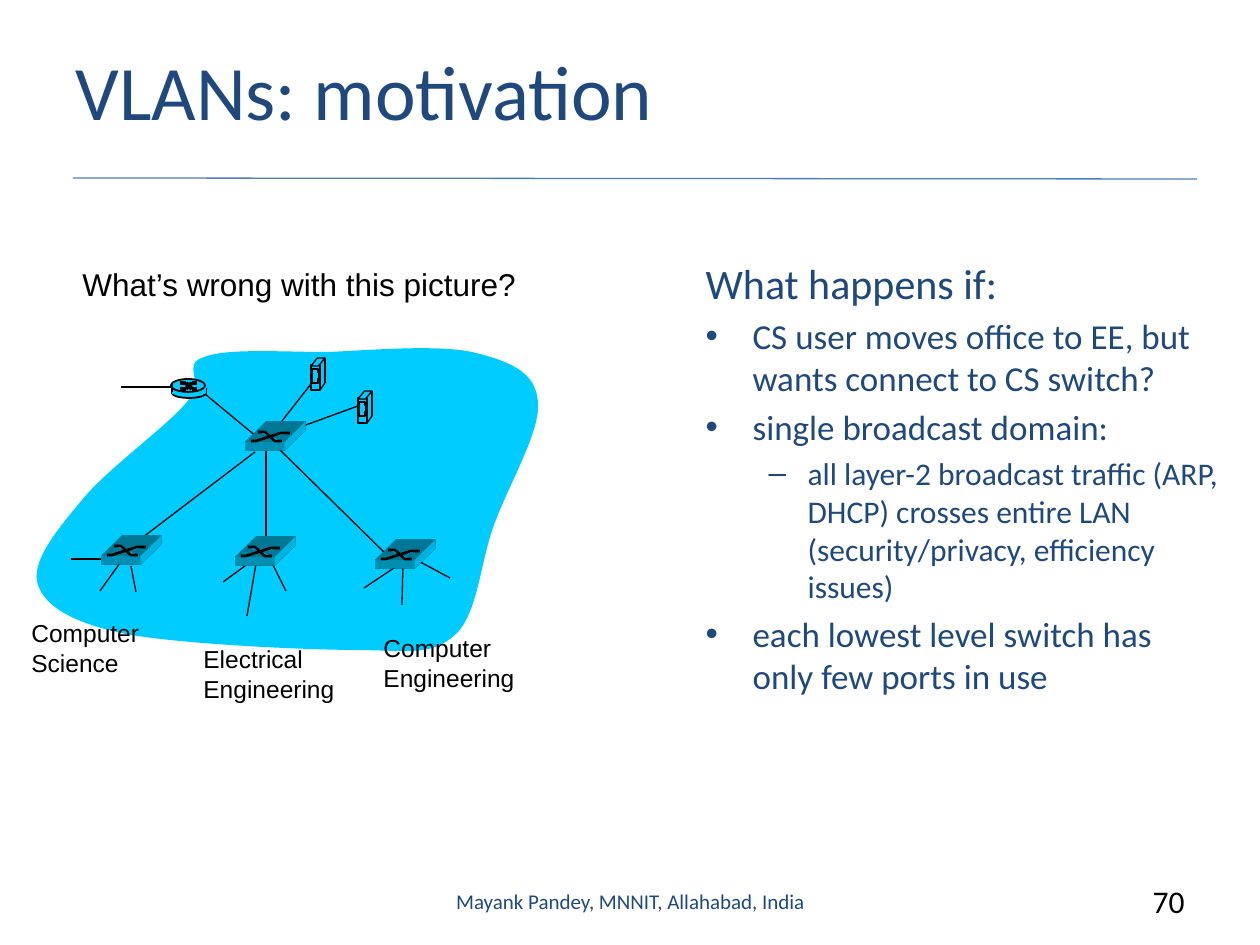
from itertools import pairwise
from typing import NamedTuple

from lxml.etree import SubElement
from pptx import Presentation
from pptx.dml.color import RGBColor
from pptx.enum.shapes import MSO_CONNECTOR, MSO_SHAPE as Preset
from pptx.enum.text import MSO_ANCHOR as Anchor, MSO_AUTO_SIZE as AutoSize, PP_ALIGN as Align
from pptx.oxml.ns import qn
from pptx.util import Emu, Pt

EMU_PER_PX = 914400 / 126
NAVY, BLACK, CYAN, RULE_BLUE = "1F497D", "000000", "00CCFF", "4B7EBC"

Point = tuple[int, int]


class Box(NamedTuple):
    x: int
    y: int
    w: int
    h: int

    def at(self, origin: Point) -> "Box":
        return Box(self.x + origin[0], self.y + origin[1], self.w, self.h)


class Item(NamedTuple):
    text: str
    size: int
    level: int
    margin: int
    hanging: int
    bullet: bool = True


class Label(NamedTuple):
    box: Box
    lines: list[str]
    size: int = 14
    font: str = "Arial"
    color: str = BLACK
    align: Align = Align.LEFT
    anchor: Anchor = Anchor.TOP


def px(length: int) -> Emu:
    return Emu(round(length * EMU_PER_PX))


def rgb(color: str) -> RGBColor:
    return RGBColor.from_string(color)


def shift(points: list[Point], origin: Point) -> list[Point]:
    return [(x + origin[0], y + origin[1]) for x, y in points]


def style(shape, line: str | None = None, width: float = 0.75) -> None:
    shape.shadow.inherit = False
    shape.fill.solid()
    shape.fill.fore_color.rgb = rgb(CYAN)
    if line:
        shape.line.color.rgb = rgb(line)
        shape.line.width = Pt(width)
    else:
        shape.line.fill.background()


def draw_line(shapes, start: Point, end: Point, color: str = BLACK, width: float = 0.75) -> None:
    line = shapes.add_connector(MSO_CONNECTOR.STRAIGHT, *map(px, (*start, *end)))
    line.line.color.rgb = rgb(color)
    line.line.width = Pt(width)
    SubElement(line._element.spPr, qn("a:effectLst"))


def draw_links(shapes, links: list[tuple[Point, Point]]) -> None:
    for start, end in links:
        draw_line(shapes, start, end)


def draw_preset(shapes, preset: Preset, box: Box, line: str | None = BLACK, width: float = 0.75):
    shape = shapes.add_shape(preset, *map(px, box))
    if preset == Preset.PARALLELOGRAM:
        shape.adjustments[0] = 0.81
    style(shape, line, width)
    return shape


def draw_outline(shapes, points: list[Point], close: bool):
    builder = shapes.build_freeform(*points[0], scale=EMU_PER_PX)
    builder.add_line_segments(points[1:], close=close)
    return builder.convert_to_shape()


def draw_curve(shapes, knots: list[Point]) -> None:
    """Draw cubic curves given as start, control, control, end, control, ..."""
    curve = draw_outline(shapes, knots, close=True)
    segments = list(curve._element.iter(qn("a:lnTo")))
    for i in range(0, len(knots) - 1, 3):
        cubic = segments[i]
        bezier = cubic.getparent().makeelement(qn("a:cubicBezTo"))
        cubic.addprevious(bezier)
        for segment in segments[i:i + 3]:
            bezier.append(segment[0])
            segment.getparent().remove(segment)
    style(curve)


def extrude(shape, depth: int) -> None:
    """Give the shape an oblique depth toward the top right."""
    props = shape._element.spPr
    scene = SubElement(props, qn("a:scene3d"))
    SubElement(scene, qn("a:camera"), prst="legacyObliqueTopRight")
    SubElement(scene, qn("a:lightRig"), rig="legacyFlat3", dir="b")
    solid = SubElement(props, qn("a:sp3d"), extrusionH=str(px(depth)), prstMaterial="legacyMatte")
    for bevel in ("a:bevelT", "a:bevelB"):
        SubElement(solid, qn(bevel), w="13500", h="13500", prst="angle")
    SubElement(SubElement(solid, qn("a:extrusionClr")), qn("a:srgbClr"), val=CYAN)


def draw_server(shapes, origin: Point) -> None:
    for preset, box, line in [
        (Preset.PARALLELOGRAM, Box(0, 24, 14, 8), None),
        (Preset.RECTANGLE, Box(7, 0, 7, 25), None),
        (Preset.RECTANGLE, Box(0, 7, 9, 25), BLACK),
        (Preset.PARALLELOGRAM, Box(0, 0, 14, 8), BLACK),
    ]:
        draw_preset(shapes, preset, box.at(origin), line)
    draw_links(shapes, list(pairwise(shift([(14, 0), (14, 25), (9, 32)], origin))))
    draw_preset(shapes, Preset.RECTANGLE, Box(1, 11, 6, 14).at(origin))
    draw_preset(shapes, Preset.RECTANGLE, Box(2, 15, 5, 5).at(origin), None)


def draw_router(shapes, origin: Point) -> None:
    draw_preset(shapes, Preset.OVAL, Box(1, 9, 34, 10).at(origin), width=1)
    for x in (1, 35):
        draw_line(shapes, *shift([(x, 9), (x, 15)], origin), width=1)
    draw_preset(shapes, Preset.RECTANGLE, Box(1, 9, 34, 6).at(origin), None)
    draw_preset(shapes, Preset.OVAL, Box(0, 0, 34, 13).at(origin), width=1)
    for first, last in ((4, 10), (10, 4)):
        arrow = shift([(9, first), (15, first), (21, last), (26, last)], origin)
        for start, end in pairwise(arrow):
            draw_line(shapes, start, end, width=2.25)
    draw_line(shapes, *shift([(1, 5), (1, 13)], origin), width=1)


def draw_switch(shapes, origin: Point) -> None:
    """Draw a slab whose front face has its top left corner at origin."""
    extrude(draw_preset(shapes, Preset.RECTANGLE, Box(0, 0, 39, 9).at(origin), None), 59)
    for arrow in ([(5, -1), (10, -1), (35, -9), (44, -9)],
                  [(12, -10), (19, -10), (29, -1), (36, -1)]):
        style(draw_outline(shapes, shift(arrow, origin), close=False), BLACK, 1.5)


def place(shape, box: Box) -> None:
    shape.left, shape.top, shape.width, shape.height = map(px, box)


def set_font(paragraph, size: int, color: str, name: str = "Calibri") -> None:
    paragraph.font.size = Pt(size)
    paragraph.font.name = name
    paragraph.font.color.rgb = rgb(color)


def draw_label(shapes, label: Label) -> None:
    frame = shapes.add_textbox(*map(px, label.box)).text_frame
    frame.word_wrap = True
    frame.vertical_anchor = label.anchor
    frame.text = "\n".join(label.lines)
    for paragraph in frame.paragraphs:
        paragraph.alignment = label.align
        set_font(paragraph, label.size, label.color, label.font)


def fill_list(frame, items: list[Item]) -> None:
    frame.auto_size = AutoSize.NONE
    frame.text = "\n".join(item.text for item in items)
    for paragraph, item in zip(frame.paragraphs, items):
        paragraph.level = item.level
        props = paragraph._p.get_or_add_pPr()
        props.set("marL", str(px(item.margin)))
        props.set("indent", str(px(-item.hanging)))
        if not item.bullet:
            SubElement(props, qn("a:buNone"))
        set_font(paragraph, item.size, NAVY)
    frame.paragraphs[0].space_before = Pt(0)


CLOUD = [(538, 402), (536, 373), (512, 362), (476, 353), (442, 344), (373, 350), (328, 352),
         (282, 352), (227, 348), (204, 357), (180, 365), (207, 379), (186, 403),
         (166, 427), (106, 470), (82, 500), (57, 530), (30, 562), (38, 585),
         (45, 606), (72, 623), (126, 634), (179, 644), (305, 650), (359, 650),
         (415, 651), (432, 655), (455, 635), (478, 614), (480, 563), (494, 525),
         (508, 486), (541, 431), (538, 402)]
HOST_LINKS = [((112, 559), (71, 559)), ((120, 563), (100, 591)), ((131, 566), (136, 592)),
              ((249, 563), (223, 582)), ((256, 564), (247, 616)), ((270, 559), (286, 591)),
              ((397, 566), (364, 588)), ((403, 563), (402, 605)), ((411, 557), (450, 578))]
TRUNKS = [((255, 452), (130, 547)), ((266, 451), (266, 549)), ((388, 556), (277, 447))]
SERVER_LINKS = [((284, 433), (358, 406)), ((271, 435), (311, 384))]
ROUTER_LINKS = [((205, 394), (257, 437)), ((173, 387), (121, 387))]
SERVERS = [(358, 391), (311, 358)]
SWITCHES = [(246, 442), (102, 556), (236, 557), (376, 560)]
LABELS = [
    Label(Box(19, 612, 141, 72), ["Computer", "Science"]),
    Label(Box(191, 638, 158, 72), ["Electrical", "Engineering"]),
    Label(Box(371, 627, 158, 72), ["Computer", "Engineering"]),
    Label(Box(70, 259, 495, 50), ["What’s wrong with this picture?"], 18),
    Label(Box(431, 876, 399, 50), ["Mayank Pandey, MNNIT, Allahabad, India"], 12, "Calibri",
          NAVY, Align.CENTER, Anchor.MIDDLE),
    Label(Box(1102, 876, 95, 50), ["70"], 18, "Calibri", align=Align.RIGHT),
]
ITEMS = [
    Item("What happens if:", 24, 0, 47, 47, bullet=False),
    Item("CS user moves office to EE, but wants connect to CS switch?", 20, 0, 47, 47),
    Item("single broadcast domain:", 20, 0, 47, 47),
    Item("all layer-2 broadcast traffic (ARP, DHCP) crosses entire LAN "
         "(security/privacy, efficiency issues)", 18, 1, 102, 39),
    Item("each lowest level switch has only few ports in use", 20, 0, 47, 47),
]


def main() -> None:
    deck = Presentation()
    deck.slide_width, deck.slide_height = px(1260), px(945)
    slide = deck.slides.add_slide(deck.slide_layouts[1])
    shapes = slide.shapes
    title, body = slide.placeholders

    place(title, Box(63, 11, 1134, 158))
    title.text_frame.text = "VLANs: motivation"
    title.text_frame.vertical_anchor = Anchor.MIDDLE
    heading = title.text_frame.paragraphs[0]
    heading.alignment = Align.LEFT
    set_font(heading, 44, NAVY)
    draw_line(shapes, (73, 178), (1197, 179), RULE_BLUE)

    place(body, Box(693, 251, 539, 537))
    fill_list(body.text_frame, ITEMS)

    draw_curve(shapes, CLOUD)
    draw_links(shapes, HOST_LINKS + TRUNKS)
    for origin in SERVERS:
        draw_server(shapes, origin)
    draw_links(shapes, SERVER_LINKS)
    draw_router(shapes, (171, 379))
    draw_links(shapes, ROUTER_LINKS)
    for origin in SWITCHES:
        draw_switch(shapes, origin)
    for label in LABELS:
        draw_label(shapes, label)
    deck.save("out.pptx")


if __name__ == "__main__":
    main()
